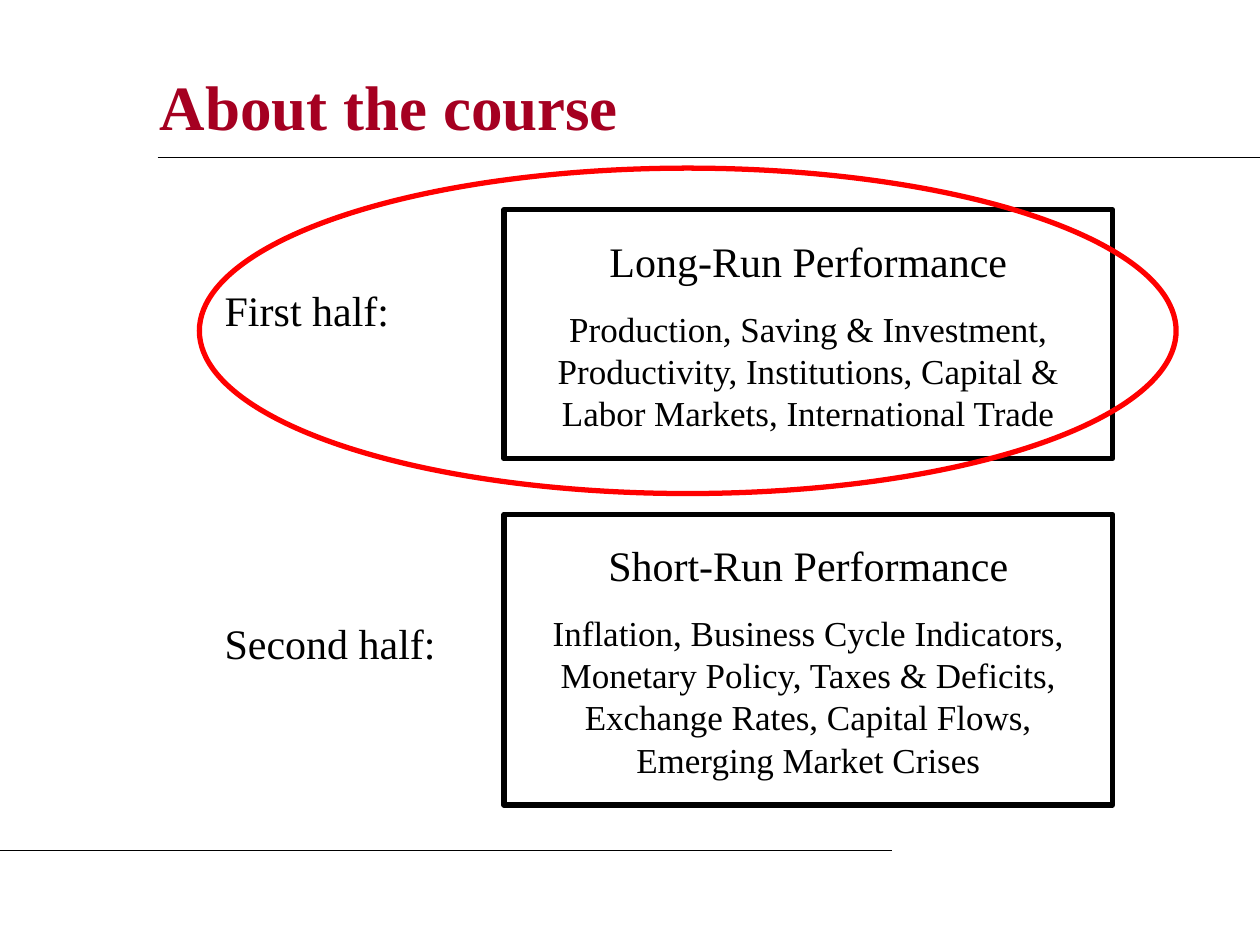
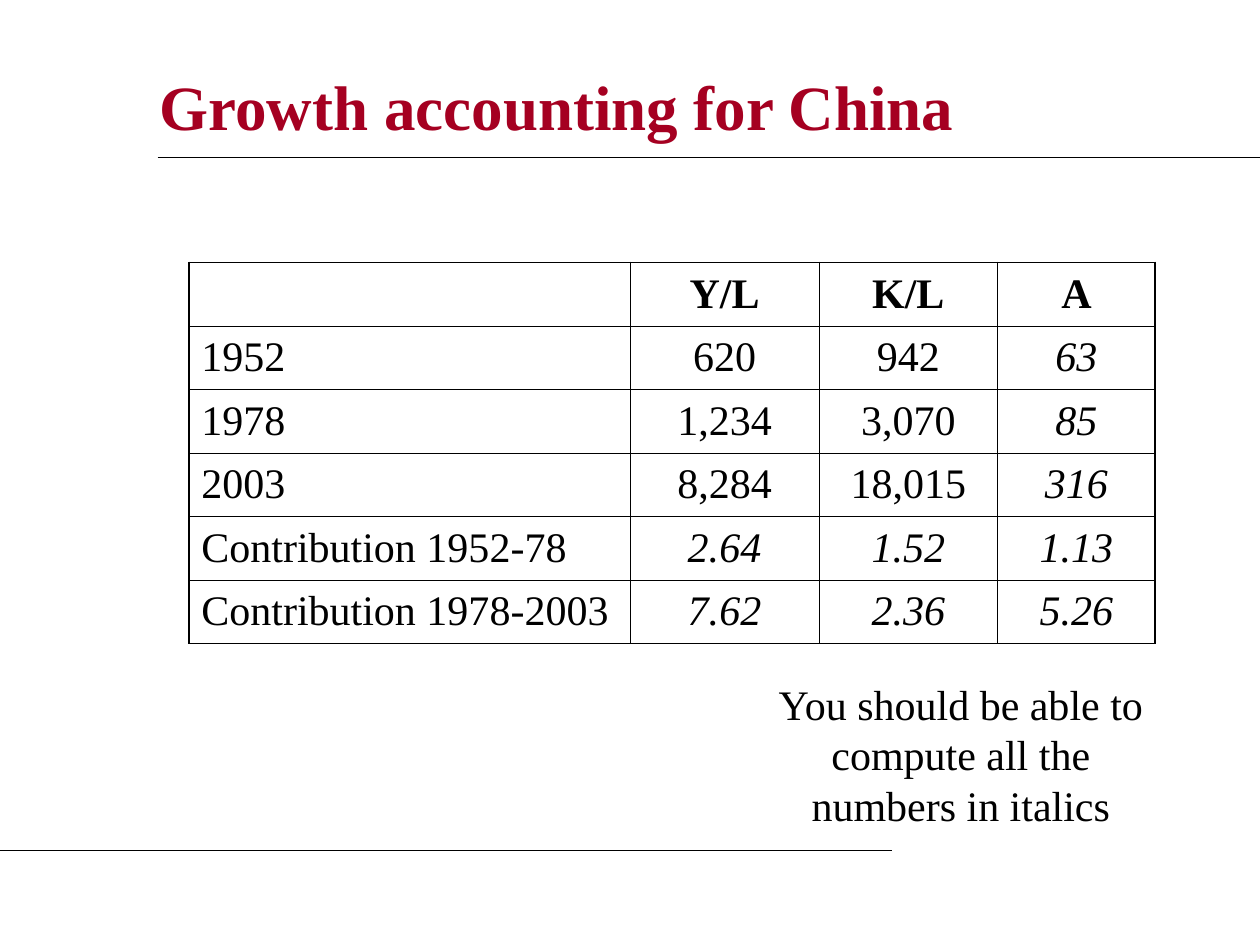
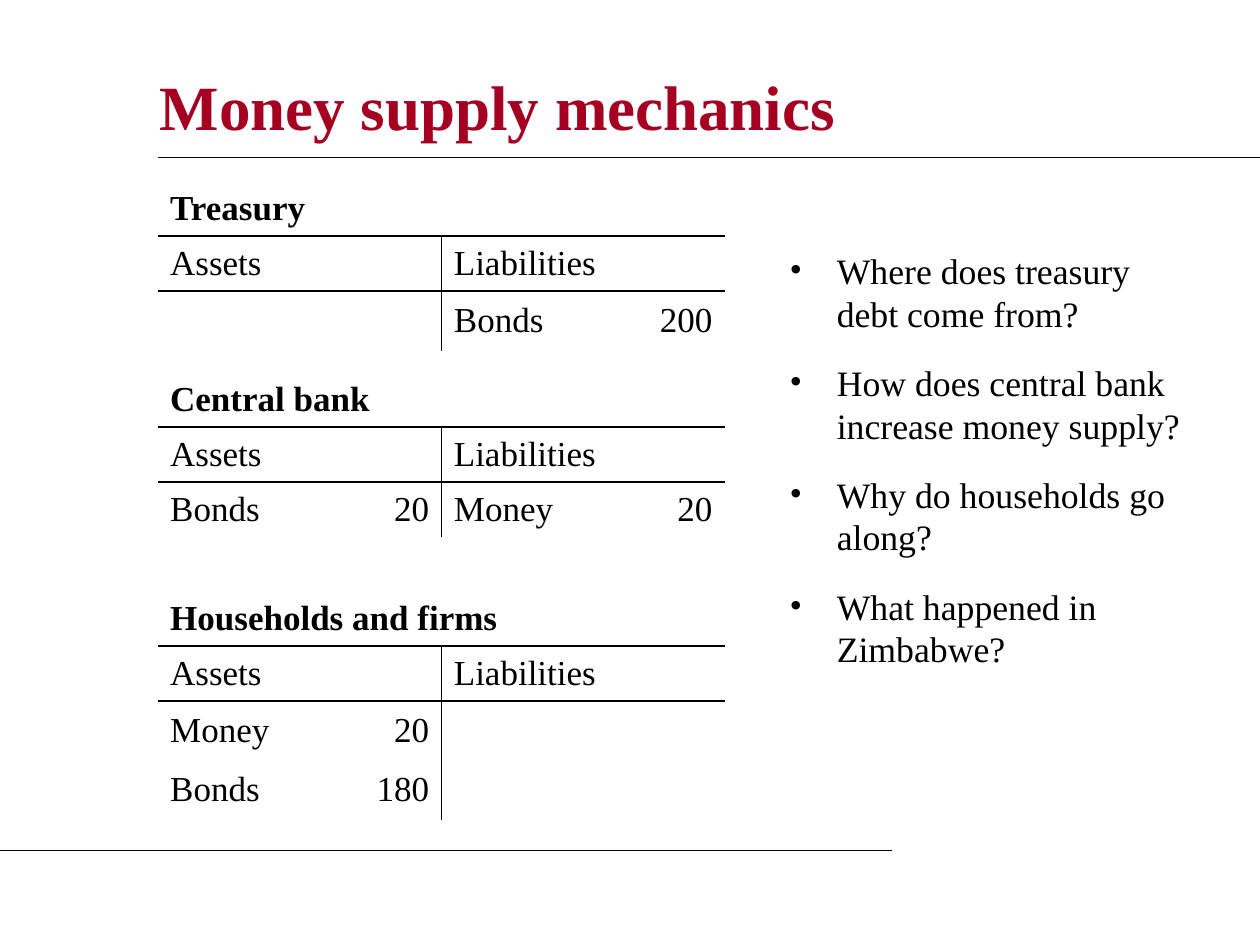
"""Build three economics course slides with python-pptx."""
import pptx
import pptx.dml.color
import pptx.enum.shapes
import pptx.enum.text
import pptx.oxml
import pptx.oxml.ns
import pptx.util
from lxml import etree

Cm = pptx.util.Cm
Pt = pptx.util.Pt
ALIGN = pptx.enum.text.PP_ALIGN
ANCHOR = pptx.enum.text.MSO_ANCHOR
SHAPE = pptx.enum.shapes.MSO_SHAPE

FONT = "Times New Roman"
BLACK = "000000"
CRIMSON = "A50021"
RED = "FF0000"
PAGE_WIDTH = 25.4
PAGE_HEIGHT = 19.05
WIDE_INSET = (0.51, 0.51)
NORMAL_INSET = (0.25, 0.13)
OUTER_LINE = 1.08
INNER_LINE = 0.45


def color(value):
    """Turn a hex string into a colour."""
    return pptx.dml.color.RGBColor.from_string(value)


def add_element(parent, tag, **attributes):
    """Append a DrawingML child element to a parent."""
    return etree.SubElement(parent, pptx.oxml.ns.qn(tag), attributes)


def write_paragraph(para, text, size=24, hue=BLACK, bold=False, italic=False,
                    align=ALIGN.LEFT, before=0, spacing=None):
    """Write one formatted span into a paragraph."""
    para.alignment = align
    para.space_before = Pt(before)
    if spacing:
        para.line_spacing = spacing
    span = para.add_run()
    span.text = text
    span.font.name = FONT
    span.font.size = Pt(size)
    span.font.bold = bold
    span.font.italic = italic
    span.font.color.rgb = color(hue)


def prepare_frame(frame, inset, anchor=ANCHOR.TOP):
    """Set wrapping, anchor and insets of a text frame."""
    frame.word_wrap = True
    frame.vertical_anchor = anchor
    frame.margin_left = frame.margin_right = Cm(inset[0])
    frame.margin_top = frame.margin_bottom = Cm(inset[1])


def add_text(page, text, left, top, width, height, inset=NORMAL_INSET,
             anchor=ANCHOR.TOP, **style):
    """Add a text box with one paragraph."""
    box = page.shapes.add_textbox(Cm(left), Cm(top), Cm(width), Cm(height))
    prepare_frame(box.text_frame, inset, anchor)
    write_paragraph(box.text_frame.paragraphs[0], text, **style)


def add_rule(page, start, end, height):
    """Draw a thin horizontal rule."""
    rule = page.shapes.add_connector(
        pptx.enum.shapes.MSO_CONNECTOR.STRAIGHT,
        Cm(start), Cm(height), Cm(end), Cm(height))
    rule.line.color.rgb = color(BLACK)
    rule.line.width = Pt(0.75)
    add_element(rule._element.spPr, "a:effectLst")


def add_page(deck, title):
    """Add a blank page with the shared title and rules."""
    page = deck.slides.add_slide(deck.slide_layouts[6])
    add_text(page, title, 2.97, 1.07, 21.59, 2.1, anchor=ANCHOR.MIDDLE,
             size=36, hue=CRIMSON, bold=True)
    add_rule(page, 3.18, PAGE_WIDTH, 3.18)
    add_rule(page, 0, 17.98, 17.15)
    return page


def add_outline(page, kind, left, top, width, height, hue):
    """Add an unfilled shape with a thick outline."""
    shape = page.shapes.add_shape(kind, Cm(left), Cm(top), Cm(width), Cm(height))
    shape.shadow.inherit = False
    shape.fill.background()
    shape.line.color.rgb = color(hue)
    shape.line.width = Pt(3)
    return shape


def add_topic(page, top, height, heading, details):
    """Add a framed topic with a heading and its details."""
    shape = add_outline(page, SHAPE.RECTANGLE, 10.16, top, 12.27, height, BLACK)
    frame = shape.text_frame
    prepare_frame(frame, WIDE_INSET)
    write_paragraph(frame.paragraphs[0], heading, align=ALIGN.CENTER)
    write_paragraph(frame.add_paragraph(), details, size=20,
                    align=ALIGN.CENTER, before=12.5)


def add_grid(page, left, top, widths, heights):
    """Add a plain table with given column widths and row heights."""
    holder = page.shapes.add_table(
        len(heights), len(widths), Cm(left), Cm(top),
        Cm(sum(widths)), Cm(sum(heights)))
    table = holder.table
    table.first_row = table.horz_banding = False
    for column, width in zip(table.columns, widths):
        column.width = Cm(width)
    for row, height in zip(table.rows, heights):
        row.height = Cm(height)
    return table


def format_cell(cell, text, borders, **style):
    """Set the borders, insets and text of a table cell."""
    properties = cell._tc.get_or_add_tcPr()
    for side in "LRTB":
        width = borders.get(side, 0)
        line = add_element(properties, f"a:ln{side}", w=str(int(Pt(width))))
        if width:
            fill = add_element(line, "a:solidFill")
            add_element(fill, "a:srgbClr", val=BLACK)
        else:
            add_element(line, "a:noFill")
    cell.fill.background()
    cell.vertical_anchor = ANCHOR.MIDDLE
    cell.margin_left = cell.margin_right = Cm(NORMAL_INSET[0])
    cell.margin_top = cell.margin_bottom = Cm(NORMAL_INSET[1])
    if text:
        write_paragraph(cell.text_frame.paragraphs[0], text, **style)


def add_growth_table(page, rows):
    """Add the growth table, with computed numbers in italics."""
    widths = (8.89, 3.81, 3.6, 3.18)
    table = add_grid(page, 3.81, 5.29, widths, [1.28] * len(rows))
    last_row, last_column = len(rows) - 1, len(widths) - 1
    for r, values in enumerate(rows):
        for c, text in enumerate(values):
            edges = {"L": c == 0, "R": c == last_column,
                     "T": r == 0, "B": r == last_row}
            borders = {side: OUTER_LINE if outer else INNER_LINE
                       for side, outer in edges.items()}
            computed = r > 0 and c > 0 and (c == last_column or r > 3)
            format_cell(table.cell(r, c), text, borders, bold=r == 0,
                        italic=computed,
                        align=ALIGN.CENTER if c else ALIGN.LEFT)


def add_account(page, top, owner, entries, entry_height=1.1):
    """Add a T-account with assets on the left and liabilities on the right."""
    rows = [(owner, "", "", ""), ("Assets", "", "Liabilities", ""), *entries]
    heights = [1.1, 1.1] + [entry_height] * len(entries)
    table = add_grid(page, 3.18, top, (3.76, 1.96, 2.87, 2.84), heights)
    table.cell(0, 0).merge(table.cell(0, 3))
    for c in (0, 2):
        table.cell(1, c).merge(table.cell(1, c + 1))
    for r, values in enumerate(rows):
        for c, text in enumerate(values):
            borders = {}
            if r < 2:
                borders["B"] = OUTER_LINE
            if r in (1, 2):
                borders["T"] = OUTER_LINE
            if r > 0 and (c == 1 or (r == 1 and c == 0)):
                borders["R"] = OUTER_LINE
            if r > 0 and c == 2:
                borders["L"] = OUTER_LINE
            format_cell(table.cell(r, c), text, borders, size=20, bold=r == 0,
                        align=ALIGN.RIGHT if c % 2 else ALIGN.LEFT)


def add_questions(page, questions):
    """Add a bulleted list of questions."""
    box = page.shapes.add_textbox(Cm(15.67), Cm(4.88), Cm(8.69), Cm(8.89))
    frame = box.text_frame
    prepare_frame(frame, NORMAL_INSET)
    for index, question in enumerate(questions):
        para = frame.add_paragraph() if index else frame.paragraphs[0]
        write_paragraph(para, question, size=20.4, before=15 if index else 0)
        properties = para._p.get_or_add_pPr()
        indent = int(Cm(0.95))
        properties.set("marL", str(indent))
        properties.set("indent", str(-indent))
        add_element(properties, "a:buFont", typeface=FONT)
        add_element(properties, "a:buChar", char="•")


def build_course(deck):
    """Build the page about the halves of the course."""
    page = add_page(deck, "About the course")
    add_topic(page, 4.23, 5.02, "Long-Run Performance",
              "Production, Saving & Investment, Productivity, Institutions, "
              "Capital & Labor Markets, International Trade")
    add_topic(page, 10.37, 5.86, "Short-Run Performance",
              "Inflation, Business Cycle Indicators, Monetary Policy, "
              "Taxes & Deficits, Exchange Rates, Capital Flows, "
              "Emerging Market Crises")
    add_text(page, "First half:", 4.02, 5.92, 5.92, 1.52,
             inset=WIDE_INSET, spacing=0.5)
    add_text(page, "Second half:", 4.02, 11.94, 5.92, 2.03, inset=WIDE_INSET)
    add_outline(page, SHAPE.OVAL, 4.02, 3.39, 19.69, 6.56, RED)


def build_growth(deck):
    """Build the growth accounting page."""
    page = add_page(deck, "Growth accounting for China")
    add_growth_table(page, [
        ("", "Y/L", "K/L", "A"),
        ("1952", "620", "942", "63"),
        ("1978", "1,234", "3,070", "85"),
        ("2003", "8,284", "18,015", "316"),
        ("Contribution 1952-78", "2.64", "1.52", "1.13"),
        ("Contribution 1978-2003", "7.62", "2.36", "5.26"),
    ])
    add_text(page, "You should be able to compute all the numbers in italics",
             15.24, 13.55, 8.26, 3.3, align=ALIGN.CENTER)


def build_money(deck):
    """Build the money supply page."""
    page = add_page(deck, "Money supply mechanics")
    add_account(page, 3.65, "Treasury", [("", "", "Bonds", "200")], 1.2)
    add_account(page, 7.5, "Central bank", [("Bonds", "20", "Money", "20")])
    add_account(page, 11.91, "Households and firms",
                [("Money", "20", "", ""), ("Bonds", "180", "", "")], 1.2)
    add_questions(page, [
        "Where does treasury debt come from?",
        "How does central bank increase money supply?",
        "Why do households go along?",
        "What happened in Zimbabwe?",
    ])


def main():
    """Build and save the deck."""
    deck = pptx.Presentation()
    deck.slide_width = Cm(PAGE_WIDTH)
    deck.slide_height = Cm(PAGE_HEIGHT)
    build_course(deck)
    build_growth(deck)
    build_money(deck)
    deck.save("out.pptx")


if __name__ == "__main__":
    main()
